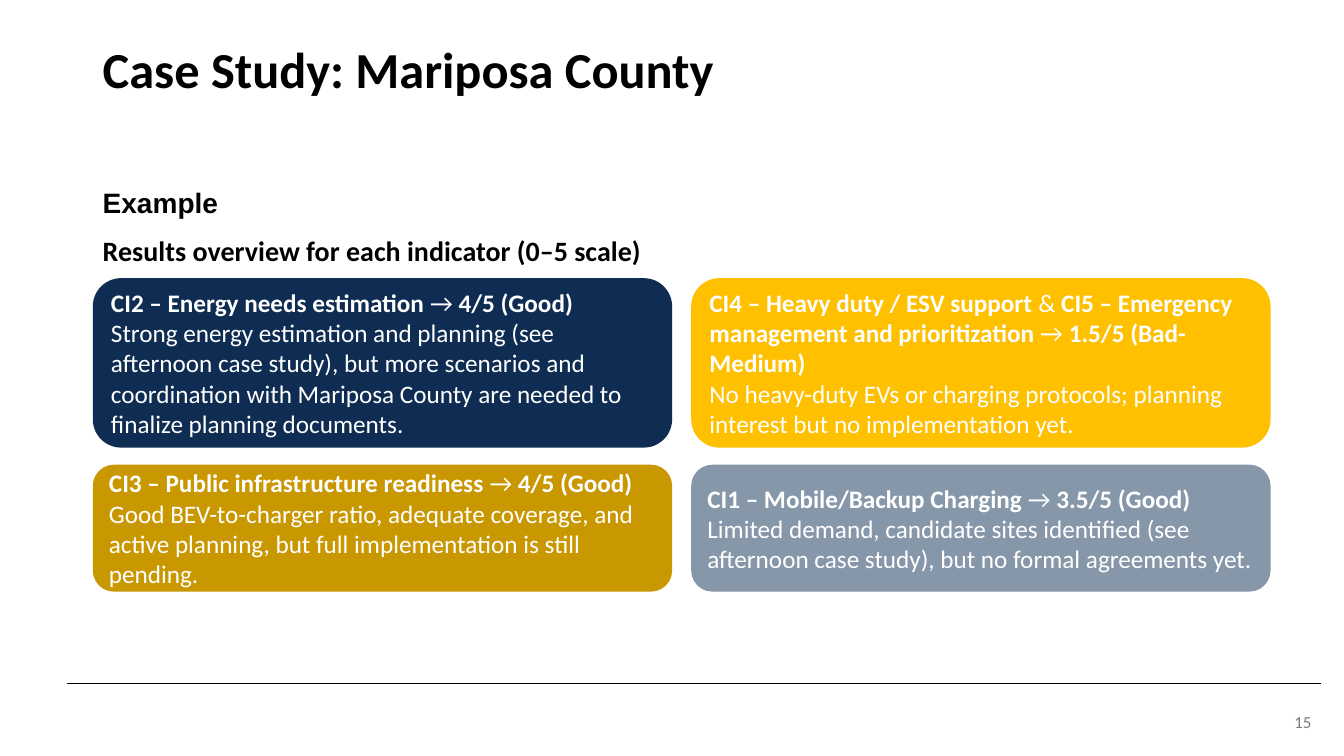
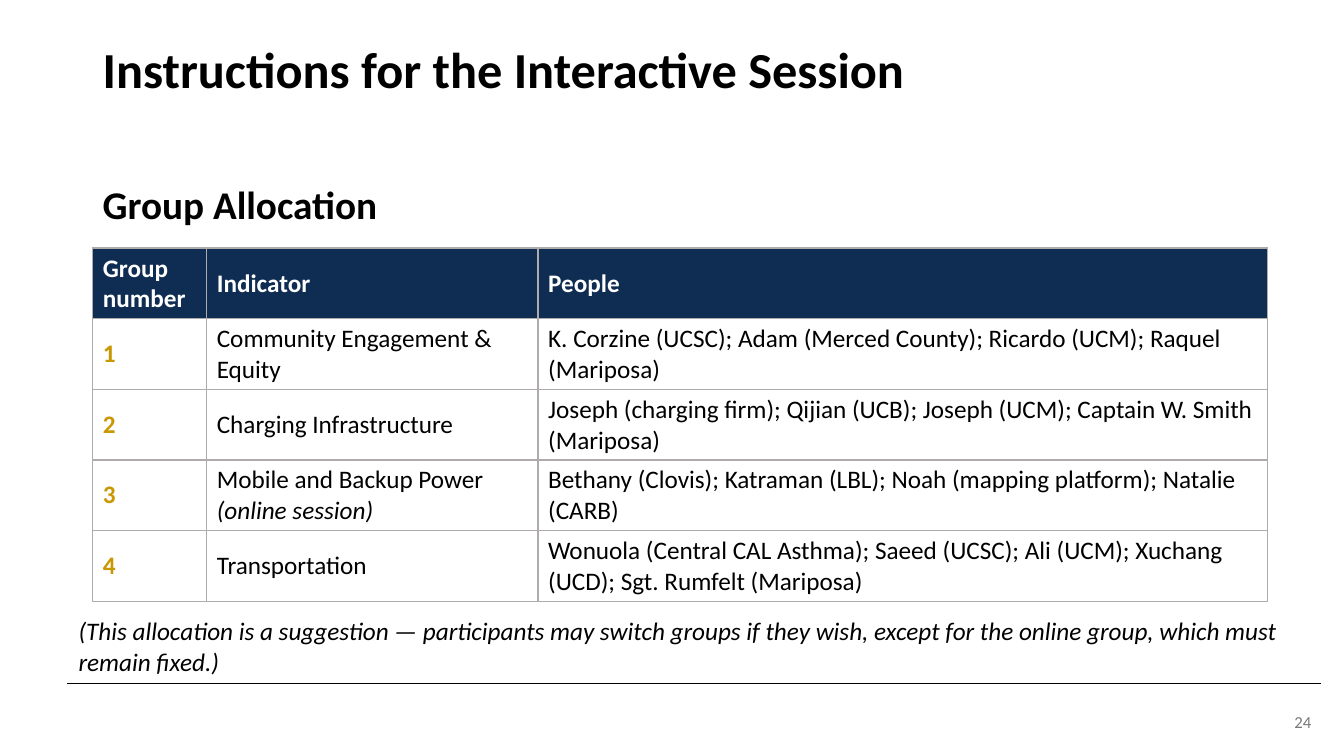
from dataclasses import dataclass

from lxml.etree import SubElement
from pptx import Presentation
from pptx.dml.color import RGBColor
from pptx.enum.shapes import MSO_CONNECTOR, MSO_SHAPE
from pptx.enum.text import MSO_ANCHOR, PP_ALIGN
from pptx.oxml.ns import qn
from pptx.util import Cm, Pt


@dataclass(frozen=True)
class Theme:
    font: str = "Calibri"
    label_font: str = "Arial"
    black: str = "000000"
    white: str = "FFFFFF"
    navy: str = "0F2D52"
    gold: str = "C99700"
    amber: str = "FFC000"
    slate: str = "8797AA"
    grey: str = "797979"
    border: str = "AFABAB"
    title: int = 36
    heading: int = 28
    subheading: int = 20
    text: int = 18
    footer: int = 12


T = Theme()


def write(tf, paragraphs, align=PP_ALIGN.LEFT, anchor=MSO_ANCHOR.TOP,
          spacing=None, before=0, **style):
    """Write paragraphs; each is a string or a list of (text, style) runs."""
    tf.word_wrap = True
    tf.vertical_anchor = anchor
    for i, runs in enumerate(paragraphs):
        p = tf.paragraphs[0] if i == 0 else tf.add_paragraph()
        p.alignment = align
        if spacing:
            p.line_spacing = spacing
        if i and before:
            p.space_before = Pt(before)
        for text, own in [(runs, {})] if isinstance(runs, str) else runs:
            look = {"font": T.font, "size": T.text, "color": T.black,
                    "bold": False, "italic": False, **style, **own}
            r = p.add_run()
            r.text = text
            r.font.name = look["font"]
            r.font.size = Pt(look["size"])
            r.font.bold = look["bold"]
            r.font.italic = look["italic"]
            r.font.color.rgb = RGBColor.from_string(look["color"])


def add_box(s, x, y, w, h):
    return s.shapes.add_textbox(Cm(x), Cm(y), Cm(w), Cm(h)).text_frame


prs = Presentation()
prs.slide_width, prs.slide_height = Cm(33.87), Cm(19.05)
LEFT, WIDTH, BODY_TOP = 2.34, 29.2, 4.55
MIDDLE = MSO_ANCHOR.MIDDLE

# Title, footer rule and page number on every slide
slides = []
for title, page in [("Case Study: Mariposa County", "15"),
                    ("Instructions for the Interactive Session", "24")]:
    s = prs.slides.add_slide(prs.slide_layouts[6])
    rule = s.shapes.add_connector(MSO_CONNECTOR.STRAIGHT,
                                  Cm(1.69), Cm(17.23), Cm(33.3), Cm(17.23))
    rule.line.color.rgb = RGBColor.from_string(T.black)
    rule.line.width = Pt(0.5)
    SubElement(rule._element.spPr, qn("a:effectLst"))
    write(add_box(s, 29.7, 17.68, 3.6, 1.02), [page], align=PP_ALIGN.RIGHT,
          anchor=MIDDLE, size=T.footer, color=T.grey)
    write(add_box(s, LEFT, 1.02, WIDTH, 2.39), [title], spacing=0.9,
          size=T.title, bold=True)
    slides.append(s)
results, groups = slides

# Results: heading
write(add_box(results, LEFT, BODY_TOP, WIDTH, 2.4),
      [[("Example", {"font": T.label_font})],
       "Results overview for each indicator (0–5 scale)"],
      before=10, size=T.subheading, bold=True)

# Results: indicator cards in two rows; heading pieces alternate bold and plain
card_w, gap_x = 14.6, 0.48
card_rows = [
    (7.01, 4.27, [
        (T.navy,
         ["CI2 – Energy needs estimation", " → ", "4/5 (Good)"],
         "Strong energy estimation and planning (see afternoon case study), "
         "but more scenarios and coordination with Mariposa County are needed "
         "to finalize planning documents."),
        (T.amber,
         ["CI4 – Heavy duty / ESV support", " & ",
          "CI5 – Emergency management and prioritization", " → ",
          "1.5/5 (Bad-Medium)"],
         "No heavy-duty EVs or charging protocols; planning interest but no "
         "implementation yet."),
    ]),
    (11.71, 3.2, [
        (T.gold,
         ["CI3 – Public infrastructure readiness ", "→ ", "4/5 (Good)"],
         "Good BEV-to-charger ratio, adequate coverage, and active planning, "
         "but full implementation is still pending."),
        (T.slate,
         ["CI1 – Mobile/Backup Charging ", "→ ", "3.5/5 (Good)"],
         "Limited demand, candidate sites identified (see afternoon case "
         "study), but no formal agreements yet."),
    ]),
]
for y, h, cards in card_rows:
    for col, (color, heading, detail) in enumerate(cards):
        sp = results.shapes.add_shape(
            MSO_SHAPE.ROUNDED_RECTANGLE, Cm(LEFT + col * (card_w + gap_x)),
            Cm(y), Cm(card_w), Cm(h))
        sp.shadow.inherit = False
        sp.fill.solid()
        sp.fill.fore_color.rgb = RGBColor.from_string(color)
        sp.line.fill.background()
        runs = [(text, {"bold": i % 2 == 0}) for i, text in enumerate(heading)]
        write(sp.text_frame, [runs, detail], anchor=MIDDLE, color=T.white)

# Groups: heading and note
write(add_box(groups, LEFT, BODY_TOP, WIDTH, 1.6), ["Group Allocation"],
      spacing=0.9, size=T.heading, bold=True)
write(add_box(groups, 1.73, 15.39, 31.57, 1.8),
      ["(This allocation is a suggestion — participants may switch groups if "
       "they wish, except for the online group, which must remain fixed.)"],
      italic=True)

# Groups: allocation table
rows = [
    (["Group number"], ["Indicator"], ["People"]),
    (["1"], ["Community Engagement & Equity"],
     ["K. Corzine (UCSC); Adam (Merced County); Ricardo (UCM); "
      "Raquel (Mariposa)"]),
    (["2"], ["Charging Infrastructure"],
     ["Joseph (charging firm); Qijian (UCB); Joseph (UCM); "
      "Captain W. Smith (Mariposa)"]),
    (["3"],
     ["Mobile and Backup Power", [("(online session)", {"italic": True})]],
     ["Bethany (Clovis); Katraman (LBL); Noah (mapping platform); "
      "Natalie (CARB)"]),
    (["4"], ["Transportation"],
     ["Wonuola (Central CAL Asthma); Saeed (UCSC); Ali (UCM); "
      "Xuchang (UCD); Sgt. Rumfelt (Mariposa)"]),
]
col_widths, row_h = [2.87, 8.35, 18.38], 1.78
table = groups.shapes.add_table(
    len(rows), len(col_widths), Cm(LEFT), Cm(6.25),
    Cm(sum(col_widths)), Cm(row_h * len(rows))).table
table.horz_banding = False
for column, width in zip(table.columns, col_widths):
    column.width = Cm(width)
for r, row in enumerate(rows):
    table.rows[r].height = Cm(row_h)
    for c, paragraphs in enumerate(row):
        cell = table.cell(r, c)
        tcPr = cell._tc.get_or_add_tcPr()
        for side in ("a:lnL", "a:lnR", "a:lnT", "a:lnB"):
            ln = SubElement(tcPr, qn(side), w=str(Pt(1)))
            fill = SubElement(ln, qn("a:solidFill"))
            SubElement(fill, qn("a:srgbClr"), val=T.border)
        cell.fill.solid()
        cell.fill.fore_color.rgb = RGBColor.from_string(
            T.navy if r == 0 else T.white)
        cell.vertical_anchor = MIDDLE
        color = T.white if r == 0 else T.gold if c == 0 else T.black
        write(cell.text_frame, paragraphs, anchor=None, color=color,
              bold=r == 0 or c == 0)

prs.save("out.pptx")
